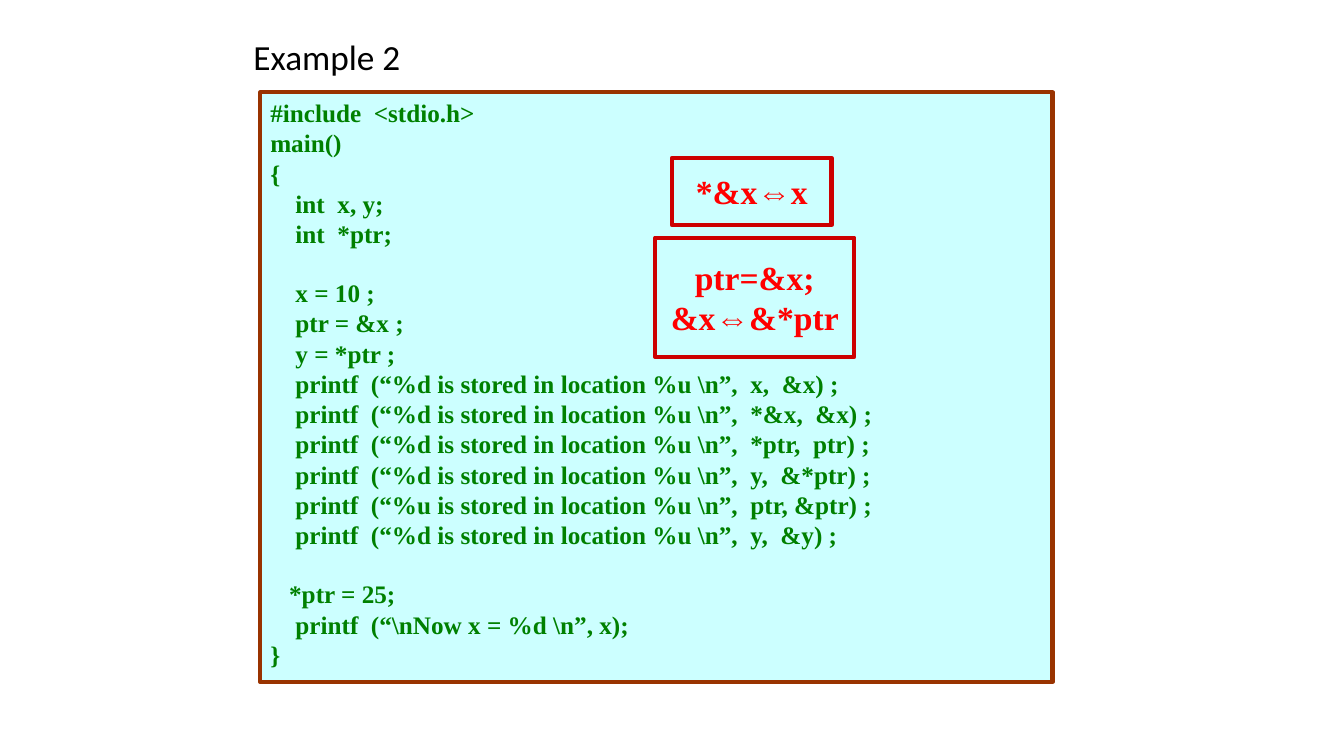
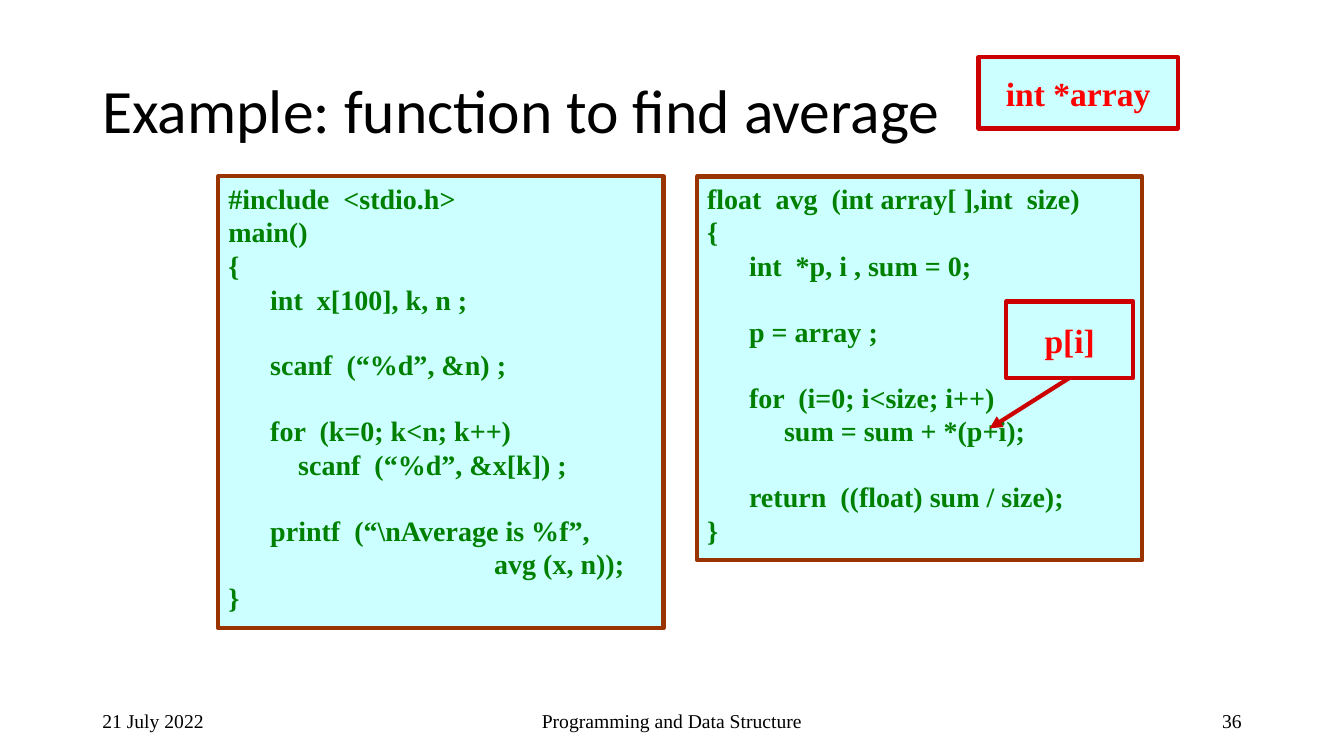
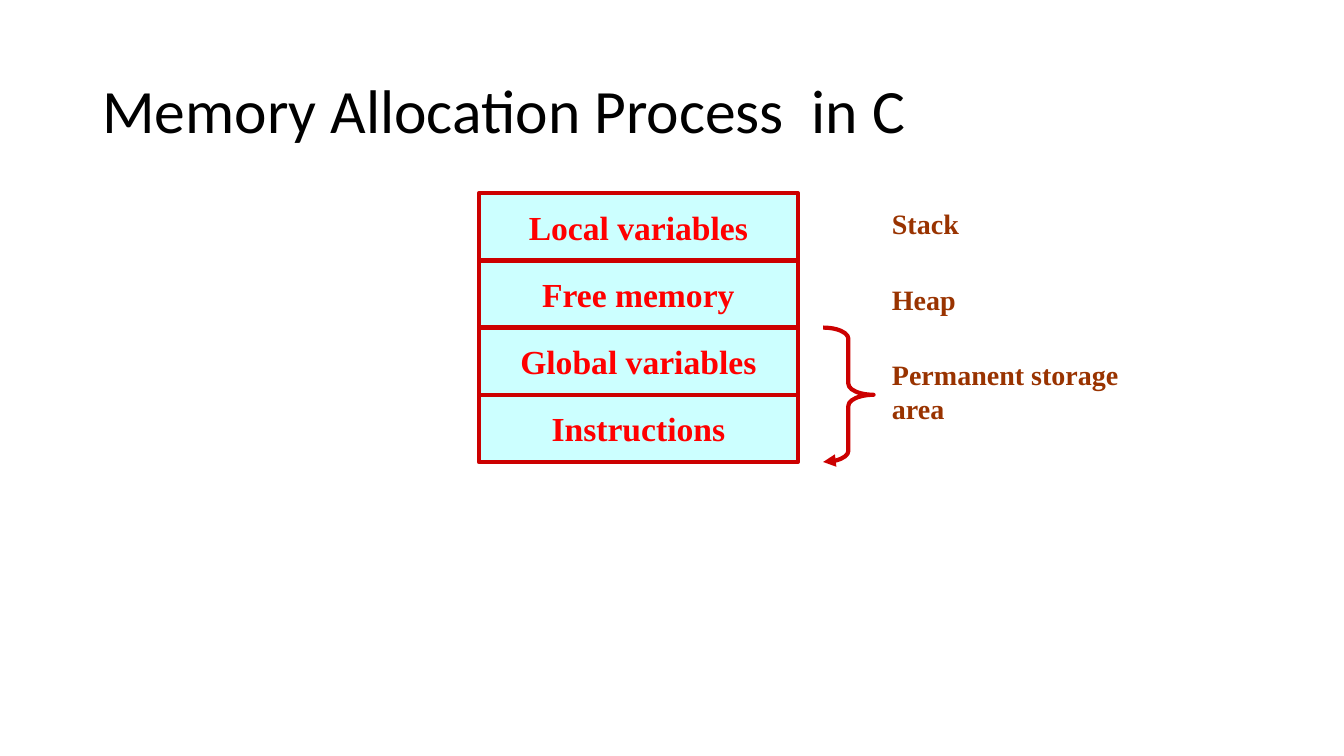
from pptx import Presentation
from pptx.dml.color import RGBColor as Rgb
from pptx.enum.shapes import MSO_CONNECTOR as Conn, MSO_SHAPE as Kind
from pptx.enum.text import MSO_ANCHOR as Anchor, PP_ALIGN as Align
from pptx.oxml.ns import qn
from pptx.util import Inches, Pt
from lxml.etree import SubElement as Sub

COLS, ROWS = 160, 90
UNIT = Inches(1) / 12
PALE, BROWN, CRIMSON = "CCFFFF", "993300", "CC0000"
RED, GREEN, BLACK = "FF0000", "008000", "000000"
SERIF, SANS = "Times New Roman", "Calibri"
LEAD = 1.15

STORE = r"""#include  <stdio.h>
main()
{
    int  x, y;
    int  *ptr;

    x = 10 ;
    ptr = &x ;
    y = *ptr ;
    printf  (“%d is stored in location %u \n”,  x,  &x) ;
    printf  (“%d is stored in location %u \n”,  *&x,  &x) ;
    printf  (“%d is stored in location %u \n”,  *ptr,  ptr) ;
    printf  (“%d is stored in location %u \n”,  y,  &*ptr) ;
    printf  (“%u is stored in location %u \n”,  ptr, &ptr) ;
    printf  (“%d is stored in location %u \n”,  y,  &y) ;

   *ptr = 25;
    printf  (“\nNow x = %d \n”, x);
}"""

CALLER = r"""#include  <stdio.h>
main()
{
      int  x[100], k, n ;

      scanf  (“%d”, &n) ;

      for  (k=0; k<n; k++)
          scanf  (“%d”, &x[k]) ;

      printf  (“\nAverage is %f”,
                                      avg (x, n));
}"""

MEAN = r"""float  avg  (int array[ ],int  size)
{
      int  *p, i , sum = 0;

      p = array ;

      for  (i=0; i<size; i++)
           sum = sum + *(p+i);

      return  ((float) sum / size);
}"""


def grid(*cells):
    return [round(cell * UNIT) for cell in cells]


def paint(color):
    return Rgb.from_string(color)


def write(shape, text, size=20, color=BLACK, font=SERIF, bold=False,
          align=Align.LEFT, anchor=Anchor.TOP, wrap=True, pitch=None):
    frame = shape.text_frame
    frame.word_wrap = wrap
    frame.vertical_anchor = anchor
    para, gap = frame.paragraphs[0], 0
    for num, line in enumerate(text.split("\n")):
        if not line:
            gap += 1
            continue
        if num:
            para = frame.add_paragraph()
        if gap:
            para.space_before = Pt(gap * size * LEAD)
            gap = 0
        para.alignment = align
        para.line_spacing = pitch
        run = para.add_run()
        run.text = line
        run.font.size = Pt(size)
        run.font.name = font
        run.font.bold = bold
        run.font.color.rgb = paint(color)


def label(slide, place, text, **style):
    write(slide.shapes.add_textbox(*grid(*place)), text, **style)


def title(slide, text, place=(11, 4.8, 138, 17.4), size=44):
    label(slide, place, text, size=size, font=SANS, anchor=Anchor.MIDDLE, pitch=0.9)


def stroke(shape, color):
    shape.line.color.rgb = paint(color)
    shape.line.width = Pt(3)


def arrow(shape):
    line = shape._element.spPr.find(qn("a:ln"))
    Sub(line, qn("a:tailEnd"), type="triangle")


def box(slide, place, edge):
    shape = slide.shapes.add_shape(Kind.RECTANGLE, *grid(*place))
    shape.shadow.inherit = False
    shape.fill.solid()
    shape.fill.fore_color.rgb = paint(PALE)
    stroke(shape, edge)
    return shape


def code(slide, place, text, size=20):
    write(box(slide, place, BROWN), text, size=size, color=GREEN, bold=True)


def note(slide, place, text):
    write(box(slide, place, CRIMSON), text, size=24, color=RED, bold=True,
          align=Align.CENTER, anchor=Anchor.MIDDLE, wrap=False)


def pointer(slide, *ends):
    line = slide.shapes.add_connector(Conn.STRAIGHT, *grid(*ends))
    stroke(line, CRIMSON)
    arrow(line)
    Sub(line._element.spPr, qn("a:effectLst"))


def brace(slide, place):
    shape = slide.shapes.add_shape(Kind.RIGHT_BRACE, *grid(*place))
    shape.shadow.inherit = False
    shape.fill.background()
    shape.adjustments[0] = 0.22
    stroke(shape, CRIMSON)
    arrow(shape)


def footer(slide, date, name, page):
    parts = ((11, 36, date, Align.LEFT), (53, 54, name, Align.CENTER),
             (113, 36, page, Align.RIGHT))
    for left, width, text, align in parts:
        label(slide, (left, 83.4, width, 4.8), text, size=14,
              align=align, anchor=Anchor.MIDDLE)


def values(slide):
    title(slide, "Example 2", (29, 4, 102, 6), 25.2)
    code(slide, (31, 11, 94.3, 70.2), STORE, 18)
    note(slide, (80, 18.8, 19, 8), "*&x⇔x")
    note(slide, (78, 28.3, 23.7, 14.2), "ptr=&x;\n&x⇔&*ptr")


def average(slide):
    footer(slide, "21 July 2022", "Programming and Data Structure", "36")
    title(slide, "Example: function to find average")
    code(slide, (26, 21, 53, 53.8), CALLER)
    code(slide, (83, 21, 53, 45.7), MEAN)
    note(slide, (116.5, 6.8, 23.7, 8.5), "int *array")
    note(slide, (119.8, 35.9, 15.1, 9.1), "p[i]")
    pointer(slide, 127.3, 45, 117.8, 51)


def memory(slide):
    title(slide, "Memory Allocation Process  in C")
    parts = "Local variables", "Free memory", "Global variables", "Instructions"
    for row, text in enumerate(parts):
        note(slide, (57, 23 + 8 * row, 38, 8), text)
    brace(slide, (98, 39, 6, 16))
    for row, text in enumerate(("Stack", "Heap", "Permanent storage area")):
        label(slide, (105, 24 + 9 * row, 32, 5.2), text, color=BROWN, bold=True)


def main():
    deck = Presentation()
    deck.slide_width, deck.slide_height = grid(COLS, ROWS)
    for build in (values, average, memory):
        build(deck.slides.add_slide(deck.slide_layouts[6]))
    deck.save("out.pptx")


if __name__ == "__main__":
    main()
